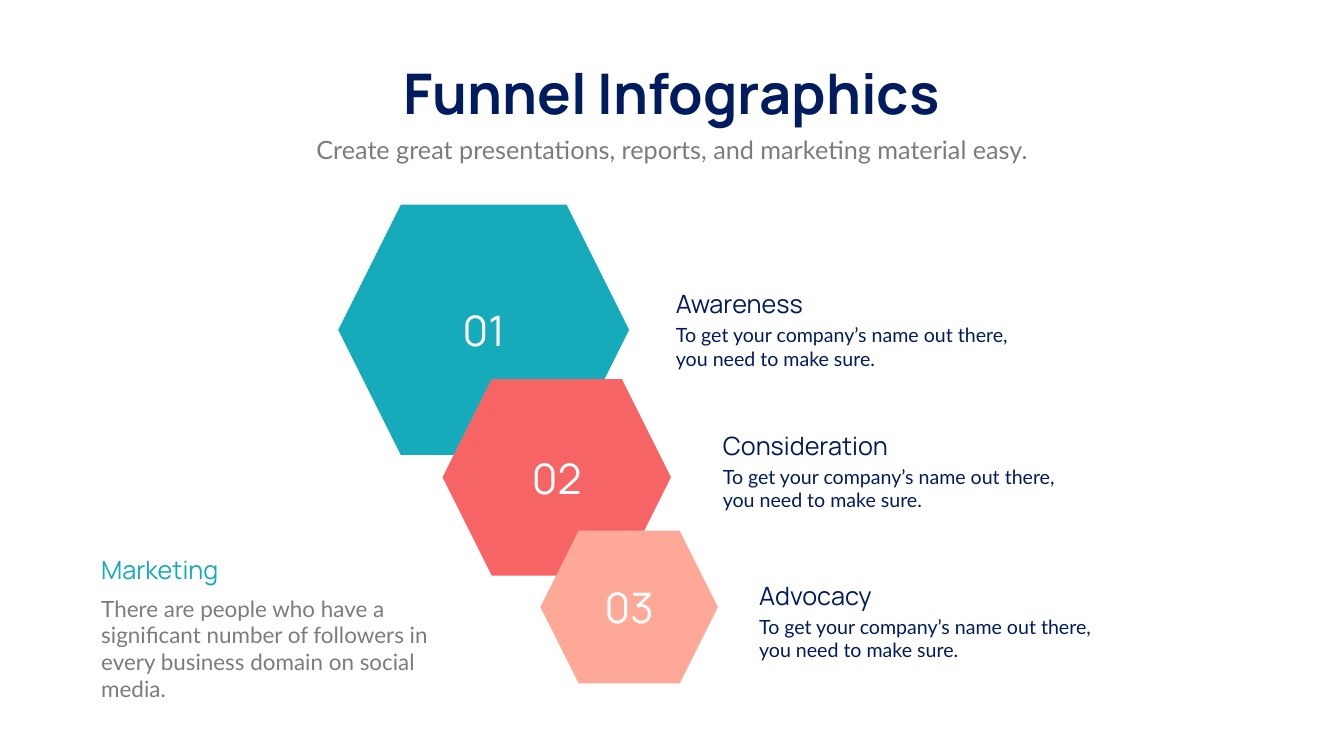
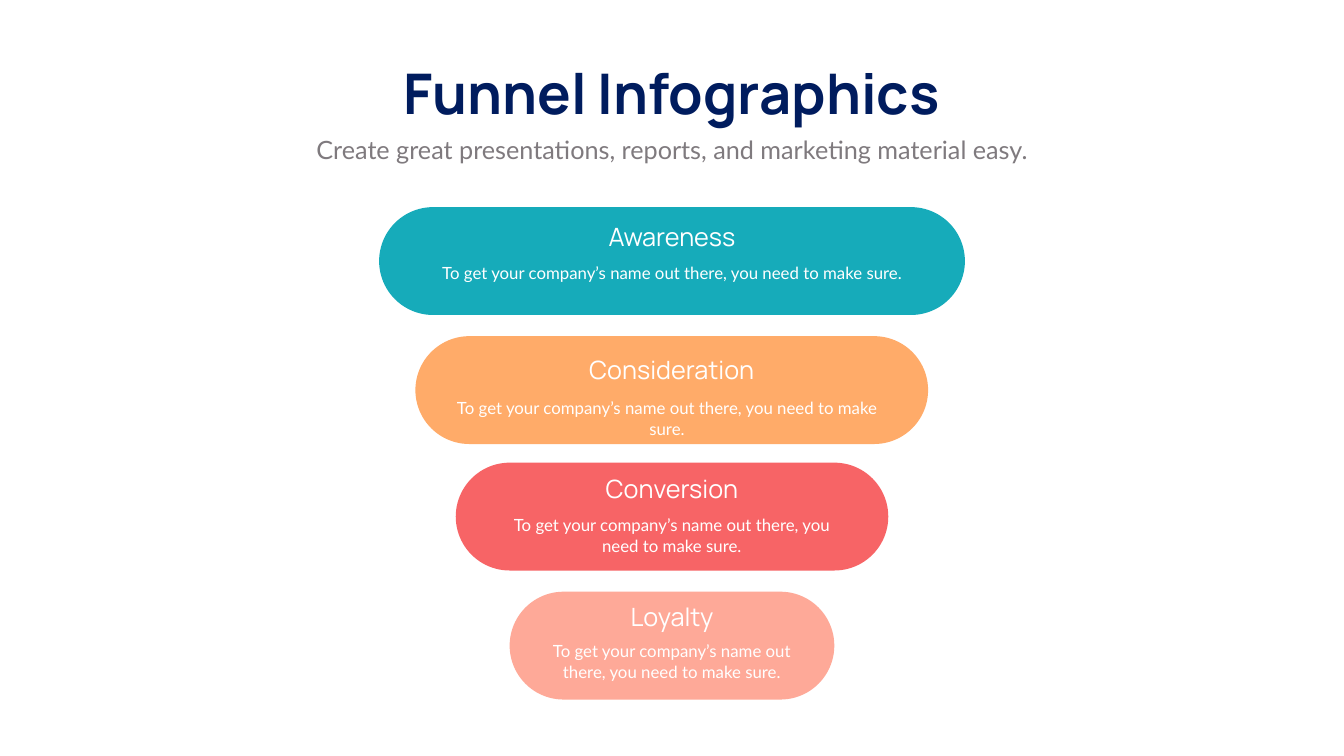
from dataclasses import dataclass

from pptx import Presentation
from pptx.dml.color import RGBColor
from pptx.enum.shapes import MSO_SHAPE as Shape
from pptx.enum.text import MSO_ANCHOR as Anchor, MSO_AUTO_SIZE as AutoSize, PP_ALIGN as Align
from pptx.util import Emu, Pt

EMU_PER_PX = 9144
SLIDE_WIDTH, SLIDE_HEIGHT = 2666, 1500
TITLE_ONLY = 5

WHITE = RGBColor(0xFF, 0xFF, 0xFF)
NAVY = RGBColor(0x00, 0x1C, 0x5E)
GRAY = RGBColor(0x7F, 0x7A, 0x7E)
TEAL = RGBColor(0x16, 0xAB, 0xBA)
ORANGE = RGBColor(0xFF, 0xAB, 0x69)
CORAL = RGBColor(0xF7, 0x64, 0x66)
PEACH = RGBColor(0xFE, 0xA9, 0x98)

HEADING_FONT, BODY_FONT = "Manrope", "Lato"
HEADING_HEIGHT = 71
STAGE_TEXT = "To get your company’s name out there, you need to make sure."

HEXAGON_RATIO = 0.861
LABEL_WIDTH, LABEL_TEXT_WIDTH, LABEL_TEXT_DROP = 988, 690, 69
PILL_HEIGHT = 214


@dataclass
class HexagonStage:
    """A hexagon of the staircase and the position of its label."""
    name: str
    color: RGBColor
    left: int
    top: int
    width: int
    label_left: int
    label_top: int


@dataclass
class PillStage:
    """A pill of the funnel, with its text offsets from the pill's top."""
    name: str
    color: RGBColor
    top: int
    width: int
    heading_drop: int
    heading_width: int
    text_drop: int
    text_width: int
    text_height: int
    text_shift: int = 0


HEXAGON_STAGES = [
    HexagonStage("Awareness", TEAL, 671, 406, 577, 1331, 567),
    HexagonStage("Consideration", CORAL, 878, 752, 453, 1424, 848),
    HexagonStage("Advocacy", PEACH, 1072, 1053, 352, 1496, 1146),
]
PILL_STAGES = [
    PillStage("Awareness", TEAL, 411, 1162, 23, 988, 105, 1026, 73),
    PillStage("Consideration", ORANGE, 667, 1017, 32, 865, 118, 898, 62, -10),
    PillStage("Conversion", CORAL, 918, 858, 17, 730, 99, 701, 91),
    PillStage("Loyalty", PEACH, 1174, 644, 14, 548, 93, 569, 111),
]


def px(length):
    """Turn px into EMU."""
    return Emu(round(length * EMU_PER_PX))


def centered(width, shift=0):
    """Return the left edge that centres a width on the slide."""
    return (SLIDE_WIDTH - width) // 2 + shift


def write(shape, text, size, font_name, color, align=Align.LEFT, bold=False):
    """Write one formatted run into a shape."""
    paragraph = shape.text_frame.paragraphs[0]
    paragraph.alignment = align
    run = paragraph.add_run()
    run.text = text
    run.font.size = Pt(size)
    run.font.name = font_name
    run.font.bold = bold
    run.font.color.rgb = color


def add_text(slide, box, text, size, font_name, color, align=Align.LEFT):
    """Add a wrapping text box."""
    shape = slide.shapes.add_textbox(*map(px, box))
    shape.text_frame.word_wrap = True
    shape.text_frame.auto_size = AutoSize.SHAPE_TO_FIT_TEXT
    write(shape, text, size, font_name, color, align)


def add_filled(slide, kind, box, color):
    """Add a flat preset shape without outline."""
    shape = slide.shapes.add_shape(kind, *map(px, box))
    shape.shadow.inherit = False
    shape.fill.solid()
    shape.fill.fore_color.rgb = color
    shape.line.fill.background()
    return shape


def add_slide(presentation):
    """Add a slide with the shared title and subtitle."""
    slide = presentation.slides.add_slide(presentation.slide_layouts[TITLE_ONLY])
    title = slide.shapes.title
    title.left, title.top, title.width, title.height = map(px, (747, 112, 1171, 145))
    title.text_frame.word_wrap = False
    title.text_frame.auto_size = AutoSize.SHAPE_TO_FIT_TEXT
    title.text_frame.vertical_anchor = Anchor.TOP
    write(title, "Funnel Infographics", 80, HEADING_FONT, NAVY, Align.CENTER, True)
    add_text(slide, (centered(2082), 261, 2082, HEADING_HEIGHT),
             "Create great presentations, reports, and marketing material easy.",
             36, BODY_FONT, GRAY, Align.CENTER)
    return slide


def add_hexagon(slide, stage, number):
    """Add a numbered hexagon."""
    box = (stage.left, stage.top, stage.width, stage.width * HEXAGON_RATIO)
    hexagon = add_filled(slide, Shape.HEXAGON, box, stage.color)
    hexagon.text_frame.vertical_anchor = Anchor.MIDDLE
    write(hexagon, f"{number:02}", 60, HEADING_FONT, WHITE, Align.CENTER)


def add_label(slide, stage):
    """Add the heading and text beside a hexagon."""
    left, top = stage.label_left, stage.label_top
    add_text(slide, (left, top, LABEL_WIDTH, HEADING_HEIGHT),
             stage.name, 36, HEADING_FONT, NAVY)
    add_text(slide, (left, top + LABEL_TEXT_DROP, LABEL_TEXT_WIDTH, 104),
             STAGE_TEXT, 28, BODY_FONT, NAVY)


def add_marketing_note(slide, left, top):
    """Add the marketing note."""
    add_text(slide, (left, top, 299, HEADING_HEIGHT), "Marketing", 36, HEADING_FONT, TEAL)
    add_text(slide, (left, top + 81, 753, 172),
             "There are people who have a significant number of followers in "
             "every business domain on social media.", 32, BODY_FONT, GRAY)


def add_pill(slide, stage):
    """Add a centred pill with its heading and text."""
    box = (centered(stage.width), stage.top, stage.width, PILL_HEIGHT)
    pill = add_filled(slide, Shape.ROUNDED_RECTANGLE, box, stage.color)
    pill.adjustments[0] = 0.5
    add_text(slide, (centered(stage.heading_width), stage.top + stage.heading_drop,
                     stage.heading_width, HEADING_HEIGHT),
             stage.name, 36, HEADING_FONT, WHITE, Align.CENTER)
    add_text(slide, (centered(stage.text_width, stage.text_shift),
                     stage.top + stage.text_drop, stage.text_width, stage.text_height),
             STAGE_TEXT, 24, BODY_FONT, WHITE, Align.CENTER)


def build_hexagon_slide(presentation):
    """Build the slide with the hexagon staircase."""
    slide = add_slide(presentation)
    for number, stage in enumerate(HEXAGON_STAGES, 1):
        add_hexagon(slide, stage, number)
        add_label(slide, stage)
    add_marketing_note(slide, 191, 1094)


def build_pill_slide(presentation):
    """Build the slide with the pill funnel."""
    slide = add_slide(presentation)
    for stage in PILL_STAGES:
        add_pill(slide, stage)


def main():
    """Build and save the presentation."""
    presentation = Presentation()
    presentation.slide_width, presentation.slide_height = px(SLIDE_WIDTH), px(SLIDE_HEIGHT)
    build_hexagon_slide(presentation)
    build_pill_slide(presentation)
    presentation.save("out.pptx")


if __name__ == "__main__":
    main()
